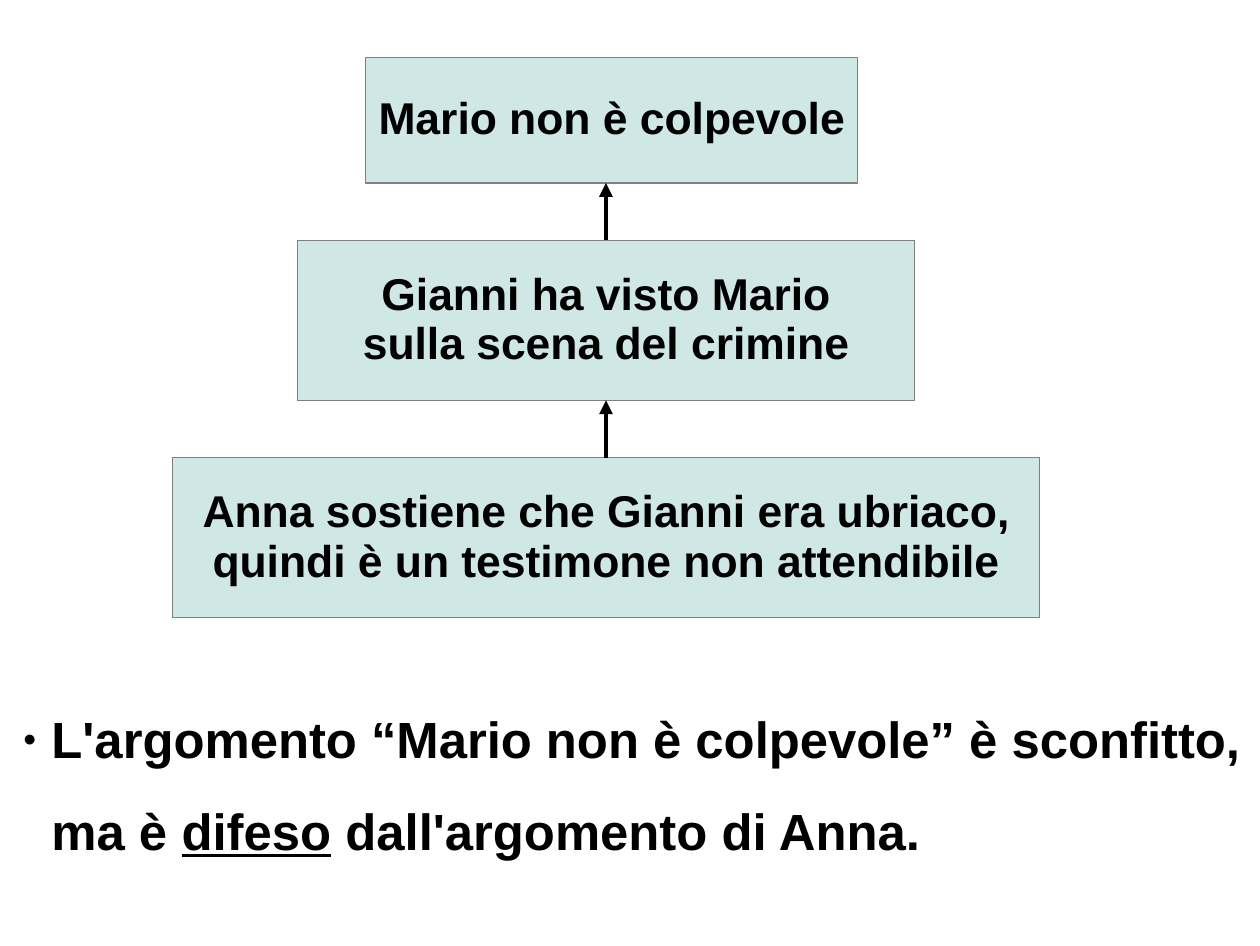
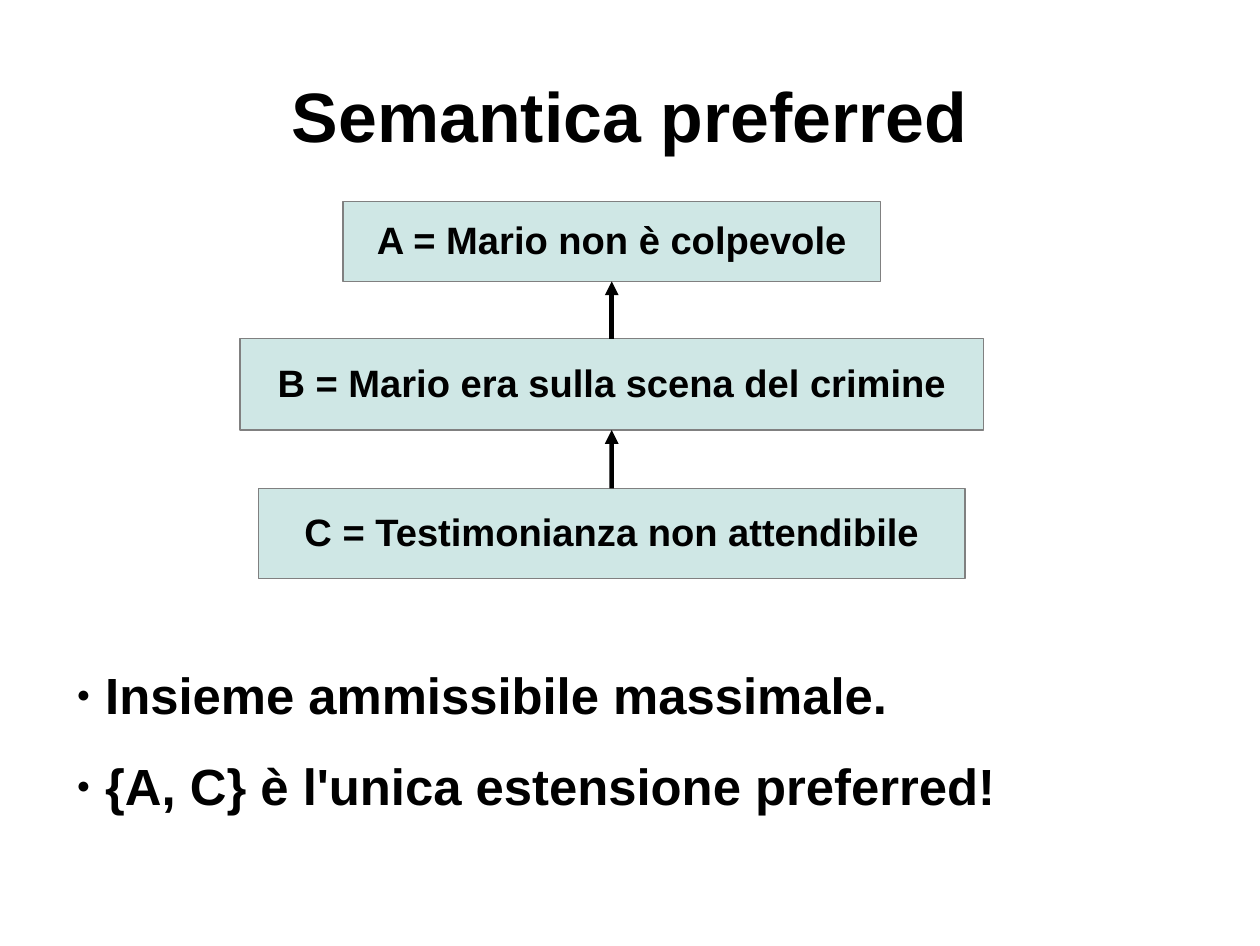
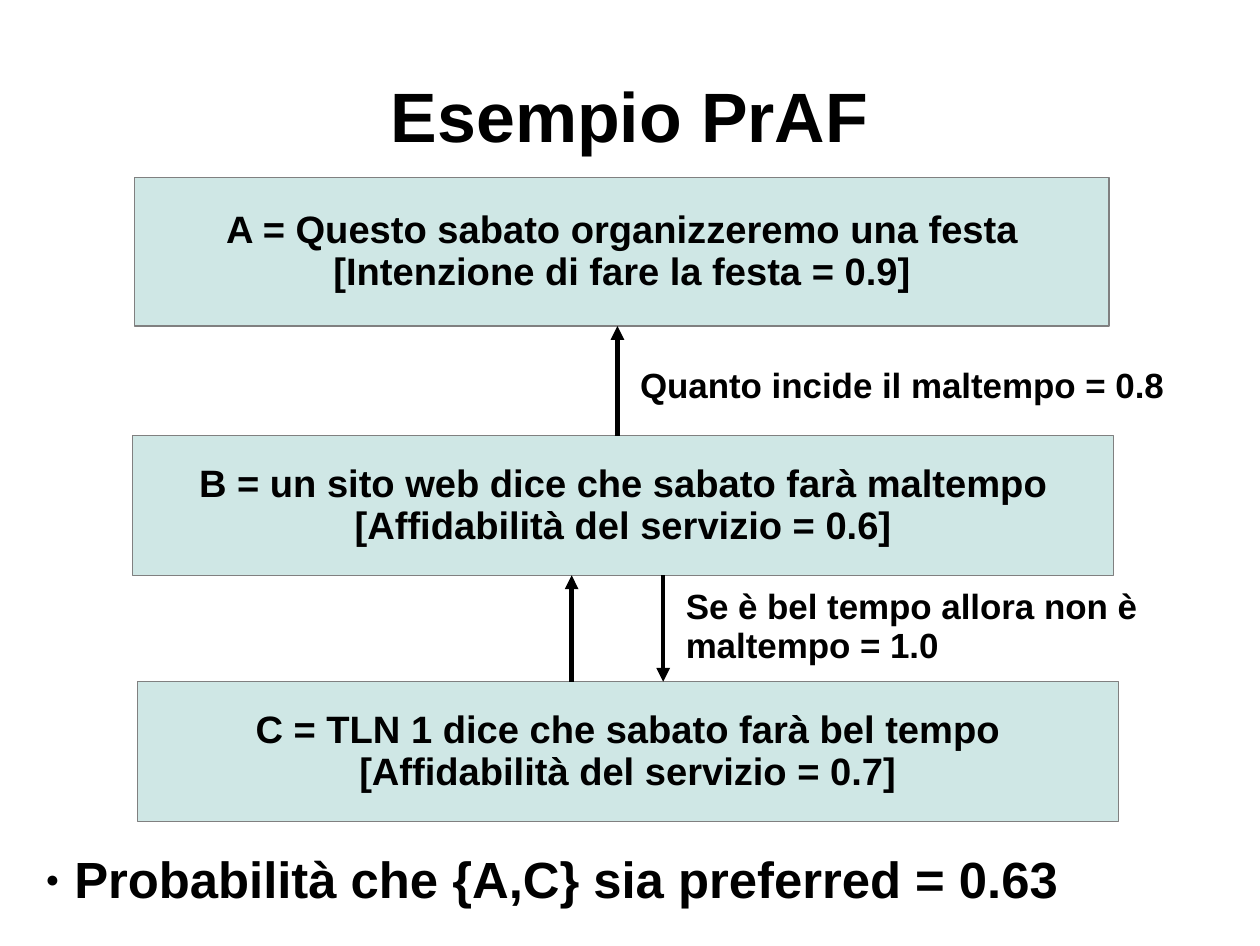
from lxml import etree
from pptx import Presentation
from pptx.dml.color import RGBColor
from pptx.enum.shapes import MSO_CONNECTOR, MSO_SHAPE
from pptx.enum.text import MSO_ANCHOR, MSO_AUTO_SIZE, PP_ALIGN
from pptx.oxml.ns import qn
from pptx.util import Inches, Pt

PROCESS = MSO_SHAPE.FLOWCHART_PROCESS
STRAIGHT = MSO_CONNECTOR.STRAIGHT
LEFT, CENTER = PP_ALIGN.LEFT, PP_ALIGN.CENTER
TOP, MIDDLE = MSO_ANCHOR.TOP, MSO_ANCHOR.MIDDLE
NO_FIT = MSO_AUTO_SIZE.NONE

FONT = "Arial"
BLACK, BOX_FILL, BOX_LINE = "000000", "CFE7E5", "808080"
TITLE_AT = (0.55, 0.32, 9.92, 1.41)
TIGHT = 0.93
BOX_INSETS = (0.1, 0.05, 0.1, 0.05)
NO_INSETS = (0, 0, 0, 0)

# boxes and labels: (left, top, width, height), lines
# arrows: x, index of the box it leaves, index of the box it reaches
# bullets: each one is a list of (text, underlined)
SLIDES = [
    {
        "title": None,
        "box_size": 28,
        "boxes": [
            ((3.2, 0.5, 4.3, 1.1), ["Mario non è colpevole"]),
            ((2.6, 2.1, 5.4, 1.4), ["Gianni ha visto Mario", "sulla scena del crimine"]),
            ((1.51, 4, 7.58, 1.4), ["Anna sostiene che Gianni era ubriaco,",
                                    "quindi è un testimone non attendibile"]),
        ],
        "arrows": [(5.3, 1, 0), (5.3, 2, 1)],
        "labels": [],
        "bullets_at": (0.2, 5.92, 10.8, 1.6),
        "bullet_spacing": 1.5,
        "bullets": [[("L'argomento “Mario non è colpevole” è sconfitto, ma è ", False),
                     ("difeso", True),
                     (" dall'argomento di Anna.", False)]],
    },
    {
        "title": "Semantica preferred",
        "box_size": 24,
        "boxes": [
            ((3, 1.76, 4.7, 0.7), ["A = Mario non è colpevole"]),
            ((2.1, 2.96, 6.5, 0.8), ["B = Mario era sulla scena del crimine"]),
            ((2.26, 4.27, 6.18, 0.79), ["C = Testimonianza non attendibile"]),
        ],
        "arrows": [(5.35, 1, 0), (5.35, 2, 1)],
        "labels": [],
        "bullets_at": (0.67, 5.52, 9.5, 1.63),
        "bullet_spacing": 1.5,
        "bullets": [[("Insieme ammissibile massimale.", False)],
                    [("{A, C} è l'unica estensione preferred!", False)]],
    },
    {
        "title": "Esempio PrAF",
        "box_size": 24,
        "boxes": [
            ((1.18, 1.55, 8.52, 1.3), ["A = Questo sabato organizzeremo una festa",
                                       "[Intenzione di fare la festa = 0.9]"]),
            ((1.16, 3.81, 8.58, 1.22), ["B = un sito web dice che sabato farà maltempo",
                                        "[Affidabilità del servizio = 0.6]"]),
            ((1.2, 5.96, 8.58, 1.22), ["C = TLN 1 dice che sabato farà bel tempo",
                                       "[Affidabilità del servizio = 0.7]"]),
        ],
        "arrows": [(5.4, 1, 0), (5, 2, 1), (5.8, 1, 2)],
        "labels": [
            ((5.5, 3.16, 4.8, 0.44), ["Quanto incide il maltempo = 0.8"]),
            ((5.9, 5.09, 4.8, 0.78), ["Se è bel tempo allora non è maltempo = 1.0"]),
        ],
        "bullets_at": (0.4, 7.22, 10.45, 0.98),
        "bullet_spacing": TIGHT,
        "bullets": [[("Probabilità che {A,C} sia preferred = 0.63", False)]],
    },
]


def rgb(value):
    return RGBColor.from_string(value)


def plain(lines):
    return [[(line, False)] for line in lines]


def place(sp, at):
    for name, value in zip(("left", "top", "width", "height"), at):
        setattr(sp, name, Inches(value))


def add_bullet(p):
    pPr = p._p.get_or_add_pPr()
    pPr.set("marL", str(Inches(0.25)))
    pPr.set("indent", str(-Inches(0.25)))
    color = etree.SubElement(pPr, qn("a:buClr"))
    etree.SubElement(color, qn("a:srgbClr"), val=BLACK)
    etree.SubElement(pPr, qn("a:buSzPct"), val="45000")
    etree.SubElement(pPr, qn("a:buChar"), char="●")


def write(sp, paragraphs, size, align=LEFT, anchor=MIDDLE, insets=NO_INSETS,
          spacing=TIGHT, wrap=True, bullet=False):
    """Fill a shape with paragraphs, each a list of (text, underlined) runs."""
    tf = sp.text_frame
    frame_format = {"word_wrap": wrap, "auto_size": NO_FIT, "vertical_anchor": anchor}
    sides = ("margin_left", "margin_top", "margin_right", "margin_bottom")
    frame_format.update(zip(sides, map(Inches, insets)))
    for name, value in frame_format.items():
        setattr(tf, name, value)
    for i, runs in enumerate(paragraphs):
        p = tf.add_paragraph() if i else tf.paragraphs[0]
        p.alignment, p.line_spacing, p.space_before = align, spacing, Pt(0)
        if bullet:
            add_bullet(p)
        for text, underlined in runs:
            r = p.add_run()
            r.text = text
            font_format = {"name": FONT, "size": Pt(size), "bold": True,
                           "underline": underlined or None}
            for name, value in font_format.items():
                setattr(r.font, name, value)
            r.font.color.rgb = rgb(BLACK)


def add_box(slide, at, lines, size):
    sp = slide.shapes.add_shape(PROCESS, *map(Inches, at))
    sp.shadow.inherit = False
    sp.fill.solid()
    sp.fill.fore_color.rgb = rgb(BOX_FILL)
    sp.line.color.rgb = rgb(BOX_LINE)
    sp.line.width = Pt(0.75)
    write(sp, plain(lines), size, CENTER, insets=BOX_INSETS, wrap=False)
    return sp


def add_arrow(slide, x, start, end):
    """Draw a vertical arrow, joined to each box whose centre lies on it."""
    x = Inches(x)
    upward = start.top > end.top
    y1 = start.top if upward else start.top + start.height
    y2 = end.top + end.height if upward else end.top
    c = slide.shapes.add_connector(STRAIGHT, x, y1, x, y2)
    sites = (0, 2) if upward else (2, 0)
    for box, site, join in zip((start, end), sites, (c.begin_connect, c.end_connect)):
        if abs(box.left + box.width // 2 - x) < Inches(0.01):
            join(box, site)
    c.line.color.rgb = rgb(BLACK)
    c.line.width = Pt(2.89)
    etree.SubElement(c.line._get_or_add_ln(), qn("a:tailEnd"), type="triangle")
    etree.SubElement(c._element.spPr, qn("a:effectLst"))


def build_slide(prs, content):
    slide = prs.slides.add_slide(prs.slide_layouts[1])
    title, body = slide.placeholders
    if content["title"]:
        place(title, TITLE_AT)
        write(title, plain([content["title"]]), 44, CENTER, insets=(0, 0.04, 0, 0))
    else:
        title._element.getparent().remove(title._element)
    place(body, content["bullets_at"])
    write(body, content["bullets"], 32, spacing=content["bullet_spacing"], bullet=True)
    boxes = [add_box(slide, at, lines, content["box_size"])
             for at, lines in content["boxes"]]
    for x, start, end in content["arrows"]:
        add_arrow(slide, x, boxes[start], boxes[end])
    for at, lines in content["labels"]:
        label = slide.shapes.add_textbox(*map(Inches, at))
        write(label, plain(lines), 22, anchor=TOP, insets=BOX_INSETS)


def main():
    prs = Presentation()
    prs.slide_width, prs.slide_height = Inches(11.02), Inches(8.27)
    for content in SLIDES:
        build_slide(prs, content)
    prs.save("out.pptx")


if __name__ == "__main__":
    main()
